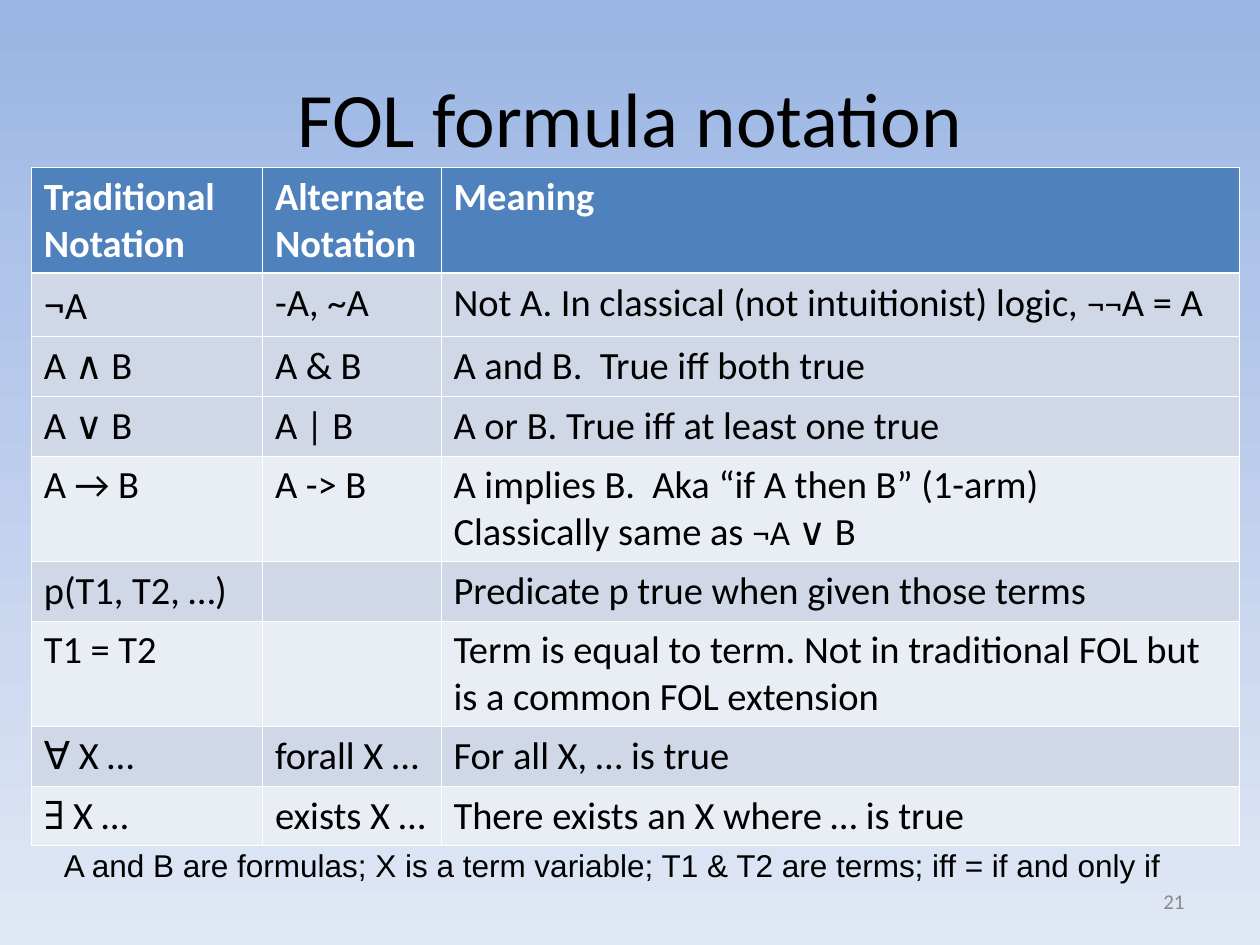
from dataclasses import dataclass

from lxml import etree
from pptx import Presentation
from pptx import util as u
from pptx.dml.color import RGBColor
from pptx.enum import text
from pptx.oxml import ns


@dataclass(frozen=True)
class Theme:
    font: str = "Calibri"
    symbol_font: str = "Cambria"
    note_font: str = "Arial"
    ink: str = "000000"
    muted: str = "898989"
    white: str = "FFFFFF"
    header: str = "4F81BD"
    dark_band: str = "D0D8E8"
    light_band: str = "E9EDF4"
    sky: tuple = ("9AB5E4", "E1E8F5")
    title_size: float = 44
    table_size: float = 22
    negation_size: float = 20
    large_negation_size: float = 24
    note_size: float = 18
    number_size: float = 12
    rule: float = 0.45
    header_rule: float = 1.47


THEME = Theme()
COLUMNS = (4.66, 3.6, 16.09)
ONE_LINE, NEGATION_LINE, TWO_LINES = 1.2, 1.28, 2.13
HEADINGS = ("Traditional Notation", "Alternate Notation", "Meaning")


def negation(words, size=THEME.negation_size):
    return words, size, THEME.font


# Each row: height, band colour, cells. A cell is a string or a list of spans.
ROWS = (
    (NEGATION_LINE, THEME.dark_band,
     ([negation("¬", THEME.large_negation_size), "A"], "-A, ~A",
      ["Not A. In classical (not intuitionist) logic, ", negation("¬¬"), "A = A"])),
    (ONE_LINE, THEME.dark_band, ("A ∧ B", "A & B", "A and B.  True iff both true")),
    (ONE_LINE, THEME.dark_band, ("A ∨ B", "A | B", "A or B. True iff at least one true")),
    (TWO_LINES, THEME.light_band,
     ("A → B", "A -> B",
      ["A implies B.  Aka “if A then B” (1-arm)", "\n",
       "Classically same as ", negation("¬A "), "∨ B"])),
    (ONE_LINE, THEME.dark_band,
     ("p(T1, T2, …)", "", "Predicate p true when given those terms")),
    (TWO_LINES, THEME.light_band,
     ("T1 = T2", "",
      "Term is equal to term. Not in traditional FOL but is a common FOL extension")),
    (ONE_LINE, THEME.dark_band, ("∀ X …", "forall X …", "For all X, … is true")),
    (ONE_LINE, THEME.light_band,
     ([("∃ ", THEME.table_size, THEME.symbol_font), "X …"], "exists X …",
      "There exists an X where … is true")),
)


def style(font, size, color, name=THEME.font, bold=False):
    font.name, font.size, font.bold = name, u.Pt(size), bold
    font.color.rgb = RGBColor.from_string(color)


def paint_background(page):
    fill = page.background.fill
    fill.gradient()
    fill.gradient_angle = 270
    for stop, color in zip(fill.gradient_stops, THEME.sky):
        stop.color.rgb = RGBColor.from_string(color)


def place_title(page, words, left, top, width, height):
    title = page.shapes.title
    title.left, title.top, title.width, title.height = map(u.Cm, (left, top, width, height))
    title.text_frame.text = words
    title.text_frame.vertical_anchor = text.MSO_ANCHOR.MIDDLE
    para = title.text_frame.paragraphs[0]
    para.alignment = text.PP_ALIGN.CENTER
    style(para.runs[0].font, THEME.title_size, THEME.ink)


def place_line(page, words, left, top, width, height, size, color, name,
               align=text.PP_ALIGN.LEFT, anchor=text.MSO_ANCHOR.TOP, wrap=True):
    """Add a text box holding a single line."""
    box = page.shapes.add_textbox(*map(u.Cm, (left, top, width, height)))
    frame = box.text_frame
    frame.text = words
    frame.word_wrap = wrap
    frame.vertical_anchor = anchor
    para = frame.paragraphs[0]
    para.alignment = align
    style(para.runs[0].font, size, color, name)


def rule_cell(cell, top, bottom):
    """Draw white borders; top and bottom are widths in points."""
    properties = cell._tc.get_or_add_tcPr()
    for side, width in (("L", THEME.rule), ("R", THEME.rule), ("T", top), ("B", bottom)):
        line = etree.SubElement(properties, ns.qn(f"a:ln{side}"), w=str(u.Pt(width)))
        solid = etree.SubElement(line, ns.qn("a:solidFill"))
        etree.SubElement(solid, ns.qn("a:srgbClr"), val=THEME.white)


def fill_cell(cell, content, band, color, bold):
    cell.fill.solid()
    cell.fill.fore_color.rgb = RGBColor.from_string(band)
    para = cell.text_frame.paragraphs[0]
    for span in [content] if isinstance(content, str) else content:
        if span == "\n":
            para.add_line_break()
        elif span:
            plain = isinstance(span, str)
            words, size, name = (span, THEME.table_size, THEME.font) if plain else span
            run = para.add_run()
            run.text = words
            style(run.font, size, color, name, bold)


def place_table(page, left, top):
    rows = ((TWO_LINES, THEME.header, HEADINGS),) + ROWS
    width, height = sum(COLUMNS), sum(row[0] for row in rows)
    table = page.shapes.add_table(
        len(rows), len(COLUMNS), *map(u.Cm, (left, top, width, height))).table
    for column, column_width in zip(table.columns, COLUMNS):
        column.width = u.Cm(column_width)
    for index, (row_height, band, contents) in enumerate(rows):
        heading = index == 0
        table.rows[index].height = u.Cm(row_height)
        for cell, content in zip(table.rows[index].cells, contents):
            rule_cell(cell,
                      top=THEME.header_rule if index == 1 else THEME.rule,
                      bottom=THEME.header_rule if heading else THEME.rule)
            fill_cell(cell, content, band, THEME.white if heading else THEME.ink, heading)


def main():
    deck = Presentation()
    deck.slide_width, deck.slide_height = u.Cm(25.4), u.Cm(19.05)
    page = deck.slides.add_slide(deck.slide_layouts.get_by_name("Title Only"))
    paint_background(page)
    place_title(page, "FOL formula notation", 1.27, 0.76, 22.86, 3.18)
    place_line(page, "21", 18.2, 17.66, 5.93, 1.01, THEME.number_size, THEME.muted,
               THEME.font, text.PP_ALIGN.RIGHT, text.MSO_ANCHOR.MIDDLE)
    place_table(page, 0.63, 3.38)
    place_line(page,
               "A and B are formulas; X is a term variable; T1 & T2 are terms; "
               "iff = if and only if",
               1.04, 16.94, 22.68, 1.02, THEME.note_size, THEME.ink, THEME.note_font,
               wrap=False)
    deck.save("out.pptx")


if __name__ == "__main__":
    main()
